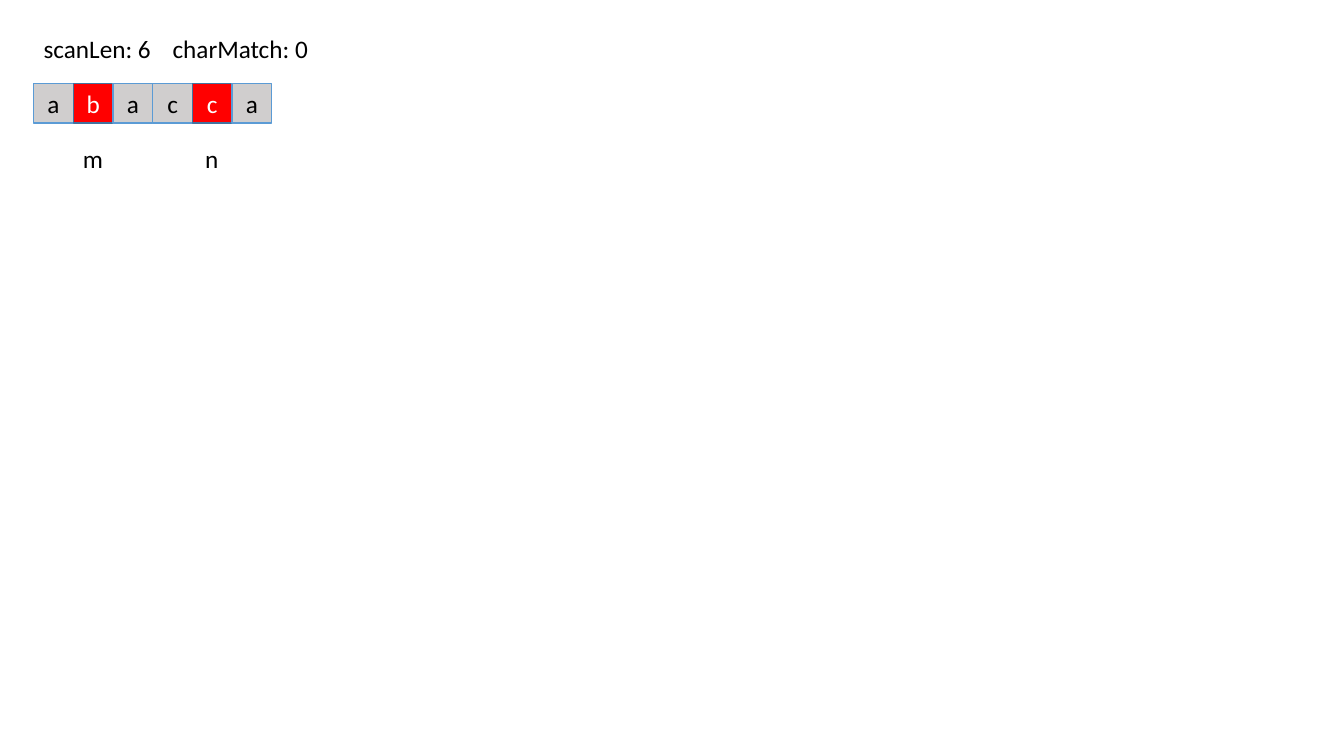
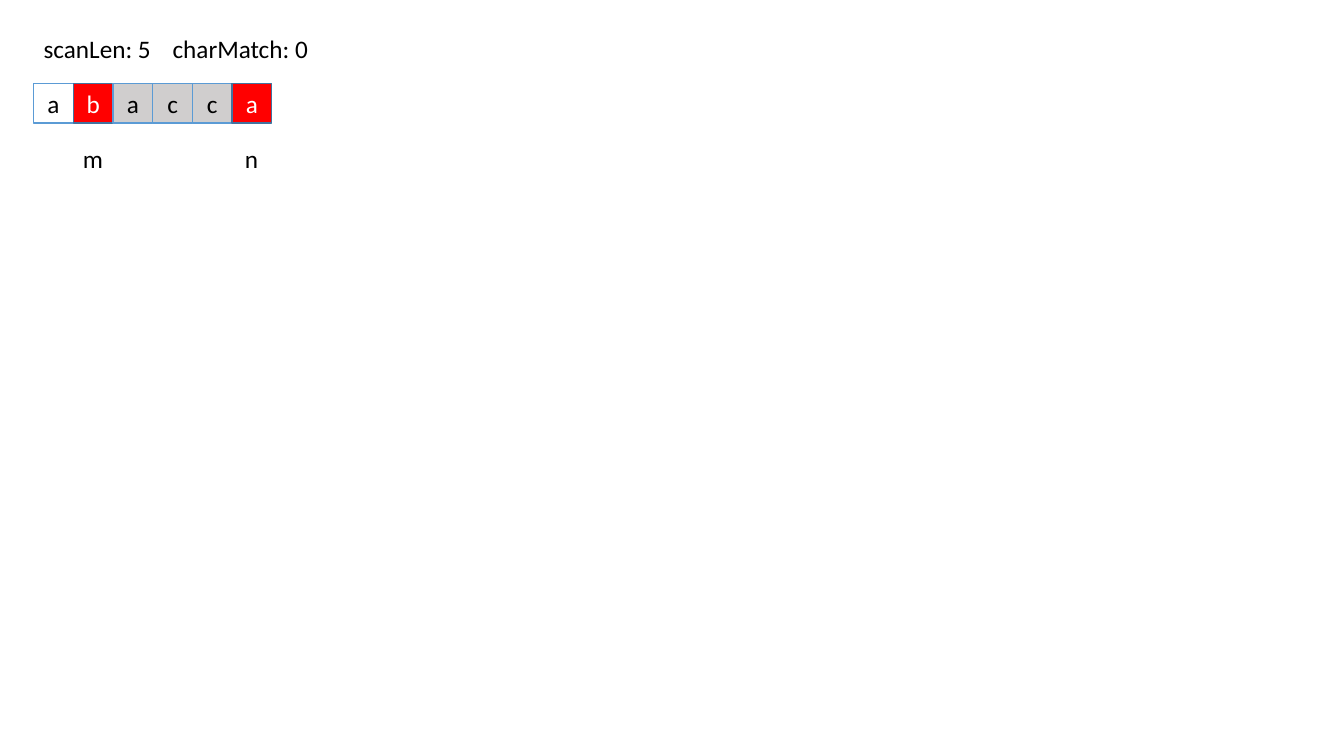
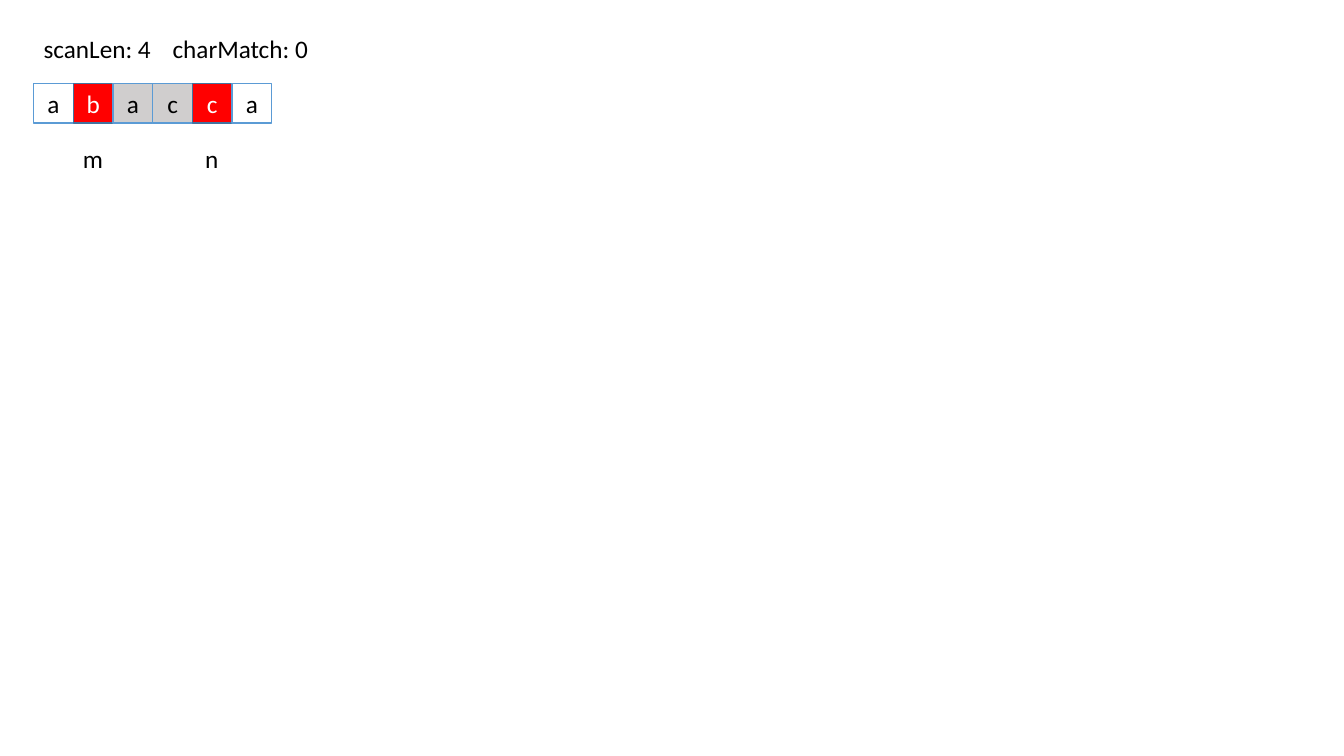
from dataclasses import dataclass

import pptx
import pptx.dml.color
import pptx.enum.shapes
import pptx.enum.text
import pptx.oxml
import pptx.oxml.ns
import pptx.util

Cm = pptx.util.Cm
Pt = pptx.util.Pt

LETTERS = "abacca"
CHAR_MATCH = 0
FONT, FONT_SIZE = "Calibri", Pt(18)
BLACK, WHITE, RED, GREY = "000000", "FFFFFF", "FF0000", "D0CECE"
BLUE, DARK_BLUE = "5B9BD5", "43739E"

LEFT, CELL = Cm(0.85), Cm(1)
STATUS_TOP, ROW_TOP, MARKER_TOP = Cm(0.71), Cm(2.1), Cm(3.48)
STATUS_WIDTH, TEXT_HEIGHT = Cm(8.4), Cm(1.02)
STATUS_TAB = Cm(3.25)
MARKER_WIDTHS = {"m": Cm(1.02), "n": Cm(0.86)}


@dataclass(frozen=True)
class ScanStep:
    """The scanned window of the string and the two compared indices."""
    start: int
    length: int
    m: int
    n: int


STEPS = [
    ScanStep(start=0, length=6, m=1, n=4),
    ScanStep(start=1, length=5, m=1, n=5),
    ScanStep(start=1, length=4, m=1, n=4),
]


def rgb(value: str) -> pptx.dml.color.RGBColor:
    return pptx.dml.color.RGBColor.from_string(value)


def add_run(p, text: str, color: str = BLACK) -> None:
    r = p.add_run()
    r.text = text
    r.font.name = FONT
    r.font.size = FONT_SIZE
    r.font.color.rgb = rgb(color)


def add_text_box(s, left: int, top: int, width: int, wrap: bool):
    """Add an empty text box and return its first paragraph."""
    tf = s.shapes.add_textbox(left, top, width, TEXT_HEIGHT).text_frame
    tf.word_wrap = wrap
    tf.auto_size = pptx.enum.text.MSO_AUTO_SIZE.SHAPE_TO_FIT_TEXT
    return tf.paragraphs[0]


def add_cell(s, index: int, step: ScanStep) -> None:
    compared = index in (step.m, step.n)
    scanned = step.start <= index < step.start + step.length
    sp = s.shapes.add_shape(pptx.enum.shapes.MSO_SHAPE.RECTANGLE,
                            LEFT + index * CELL, ROW_TOP, CELL, CELL)
    sp.shadow.inherit = False
    if scanned:
        sp.fill.solid()
        sp.fill.fore_color.rgb = rgb(RED if compared else GREY)
    else:
        sp.fill.background()
    sp.line.color.rgb = rgb(DARK_BLUE if compared else BLUE)
    sp.line.width = Pt(1)
    tf = sp.text_frame
    tf.vertical_anchor = pptx.enum.text.MSO_ANCHOR.MIDDLE
    p = tf.paragraphs[0]
    p.alignment = pptx.enum.text.PP_ALIGN.CENTER
    add_run(p, LETTERS[index], WHITE if compared else BLACK)


def add_status(s, step: ScanStep) -> None:
    p = add_text_box(s, LEFT, STATUS_TOP, STATUS_WIDTH, wrap=True)
    tabs = pptx.oxml.parse_xml(
        f'<a:tabLst {pptx.oxml.ns.nsdecls("a")}>'
        f'<a:tab pos="{int(STATUS_TAB)}" algn="l"/></a:tabLst>')
    p._p.get_or_add_pPr().append(tabs)
    add_run(p, f"scanLen: {step.length}\t")
    add_run(p, f"charMatch: {CHAR_MATCH}")


def add_marker(s, name: str, index: int) -> None:
    """Put an index name centred under its cell."""
    width = MARKER_WIDTHS[name]
    left = LEFT + index * CELL + (CELL - width) // 2
    add_run(add_text_box(s, left, MARKER_TOP, width, wrap=False), name)


def add_step_slide(prs, step: ScanStep) -> None:
    s = prs.slides.add_slide(prs.slide_layouts[6])
    for index in range(len(LETTERS)):
        add_cell(s, index, step)
    add_status(s, step)
    add_marker(s, "m", step.m)
    add_marker(s, "n", step.n)


def main() -> None:
    prs = pptx.Presentation()
    prs.slide_width, prs.slide_height = Cm(33.87), Cm(19.05)
    for step in STEPS:
        add_step_slide(prs, step)
    prs.save("out.pptx")


if __name__ == "__main__":
    main()
